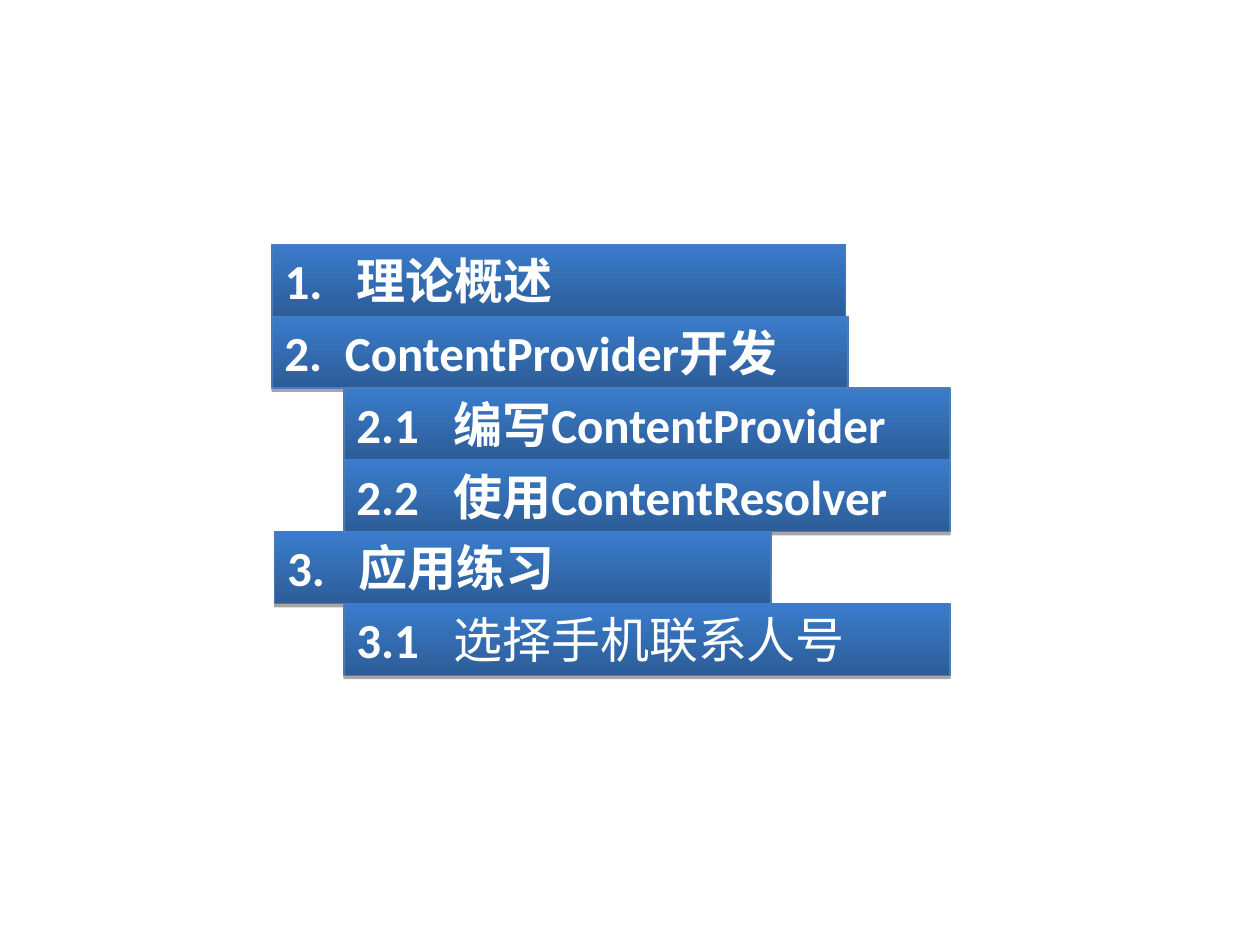
"""Build an agenda slide of stacked gradient bars."""
from typing import NamedTuple

from lxml.etree import SubElement as Sub
from pptx import Presentation
from pptx.dml.color import RGBColor as Rgb
from pptx.enum.shapes import MSO_SHAPE as Kind
from pptx.enum.text import MSO_ANCHOR as Anchor, MSO_AUTO_SIZE as Auto, PP_ALIGN as Align
from pptx.oxml.ns import qn
from pptx.util import Inches, Pt

HUES = {"dark": "2C5D98", "light": "3A7CCB", "edge": "4A7EBB",
        "text": "FFFFFF", "shade": "000000"}
TOP, ROW = 1.94, 0.57
LEFT, SUB = 2.16, 2.73
WIDE = 4.81


class Item(NamedTuple):
    head: str
    left: float
    width: float
    stop: float
    tail: str = ""


ITEMS = [
    Item("1.\t理论概述", LEFT, 4.55, 0.57),
    Item("2.\tContentProvider开发", LEFT, 4.57, 0.48),
    Item("2.1\t编写ContentProvider", SUB, WIDE, 0.77),
    Item("2.2\t使用ContentResolver", SUB, WIDE, 0.77),
    Item("3.\t应用练习", LEFT + 0.02, 3.94, 0.57),
    Item("3.1\t", SUB, WIDE, 0.77, "选择手机联系人号"),
]


def hue(name: str) -> Rgb:
    return Rgb.from_string(HUES[name])


def write(para, text: str, *, size: float = 28, bold: bool = True,
          color: str = "text", face: str = "Calibri") -> None:
    run = para.add_run()
    run.text = text
    font = run.font
    font.size, font.bold, font.name = Pt(size), bold, face
    font.color.rgb = hue(color)


def shade(shape) -> None:
    shape.shadow.inherit = False
    fx = shape._element.spPr.find(qn("a:effectLst"))
    drop = Sub(fx, qn("a:outerShdw"), blurRad="0", dist=str(Pt(1.8)),
               dir="5400000", rotWithShape="0")
    tint = Sub(drop, qn("a:srgbClr"), val=HUES["shade"])
    Sub(tint, qn("a:alpha"), val="35000")


def draw(slide, row: int, item: Item) -> None:
    bar = slide.shapes.add_shape(
        Kind.RECTANGLE, Inches(item.left), Inches(TOP + row * ROW),
        Inches(item.width), Inches(ROW))
    bar.fill.gradient()
    bar.fill.gradient_angle = 90
    for stop, name in zip(bar.fill.gradient_stops, ("dark", "light")):
        stop.color.rgb = hue(name)
    bar.line.color.rgb = hue("edge")
    bar.line.width = Pt(0.75)
    shade(bar)
    frame = bar.text_frame
    frame.word_wrap = True
    frame.auto_size = Auto.SHAPE_TO_FIT_TEXT
    frame.vertical_anchor = Anchor.TOP
    para = frame.paragraphs[0]
    para.alignment = Align.LEFT
    tabs = Sub(para._p.get_or_add_pPr(), qn("a:tabLst"))
    Sub(tabs, qn("a:tab"), pos=str(Inches(item.stop)), algn="l")
    write(para, item.head)
    if item.tail:
        write(para, item.tail, bold=False)


def main() -> None:
    deck = Presentation()
    deck.slide_width, deck.slide_height = Inches(10), Inches(7.5)
    slide = deck.slides.add_slide(deck.slide_layouts[6])
    for row, item in enumerate(ITEMS):
        draw(slide, row, item)
    deck.save("out.pptx")


if __name__ == "__main__":
    main()
